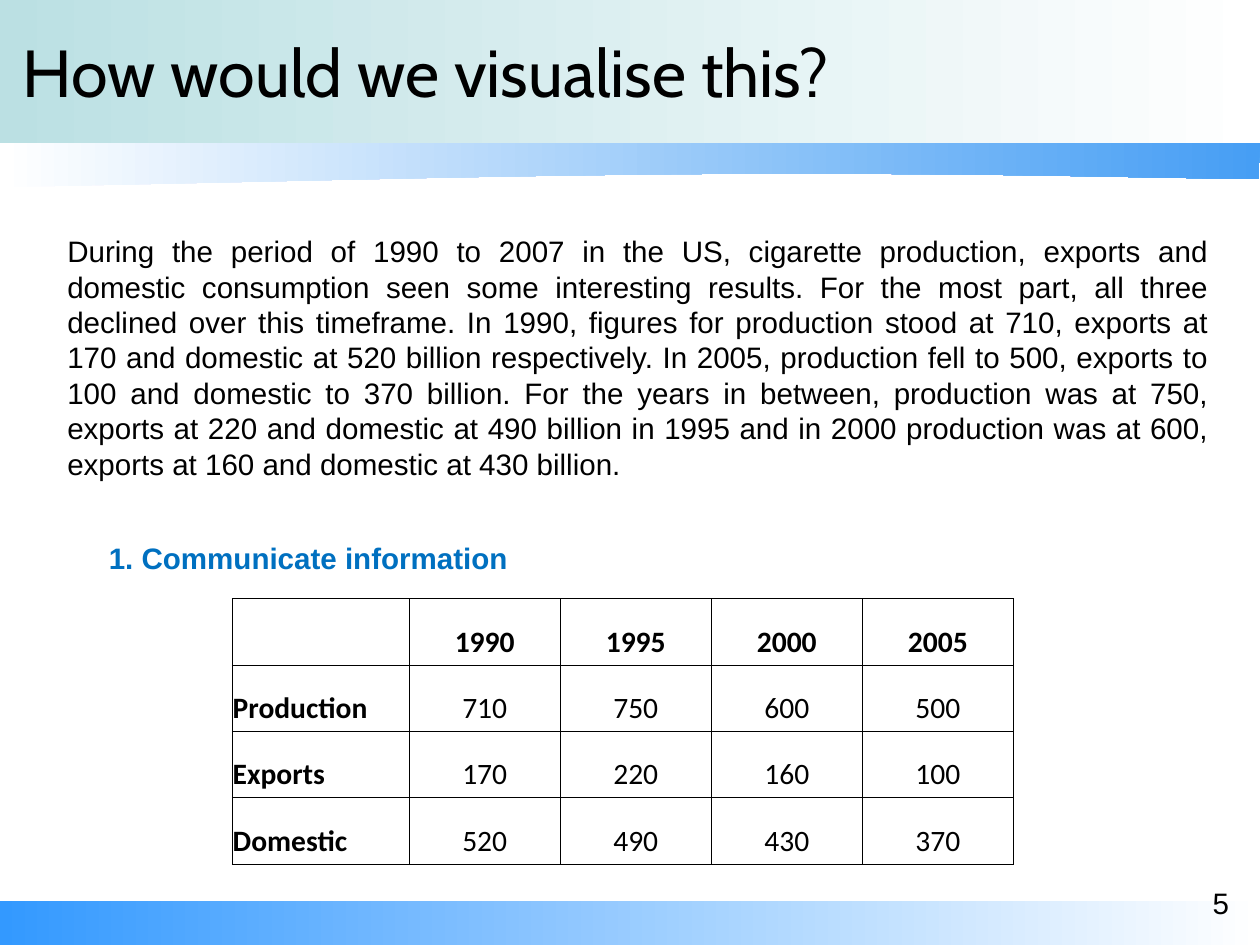
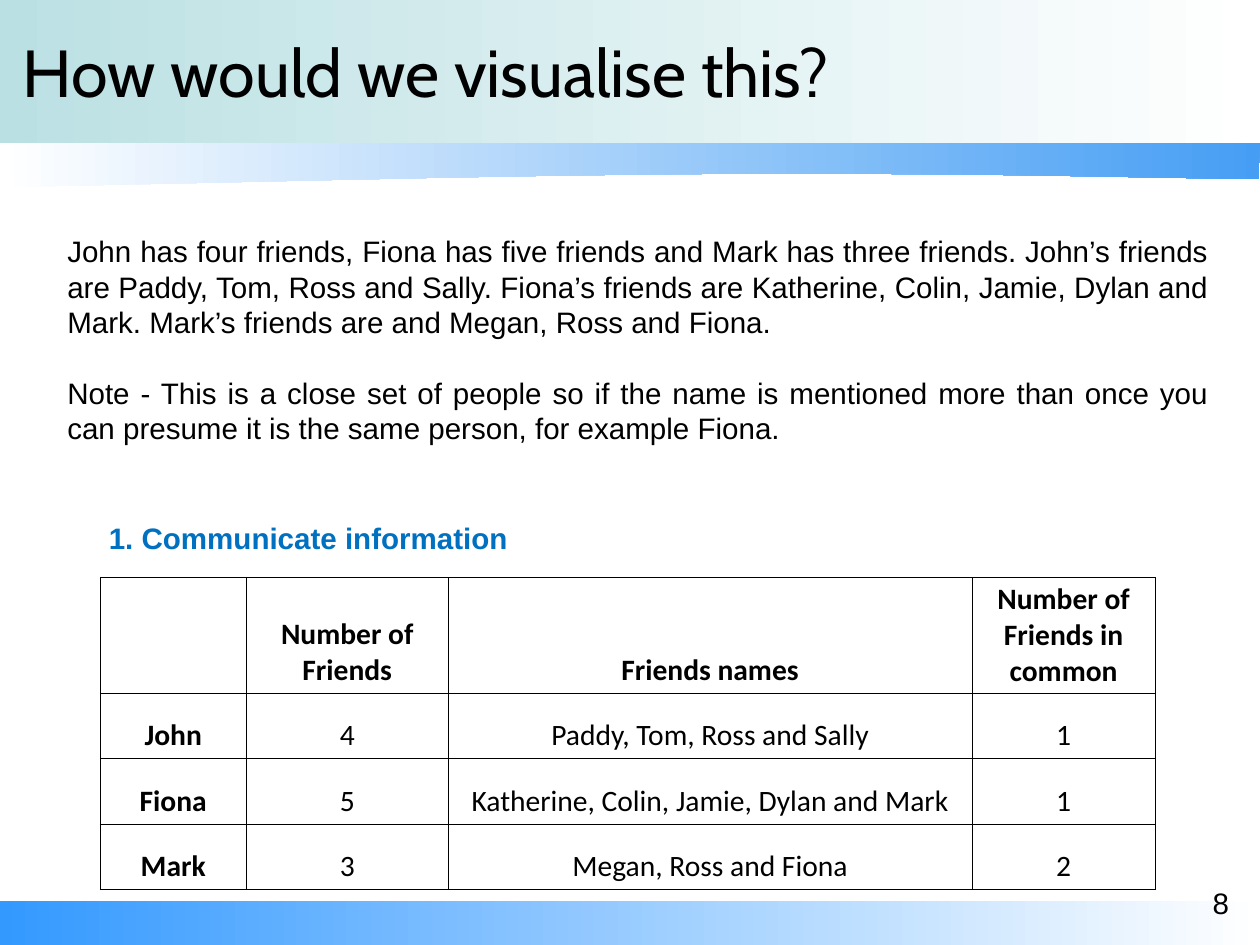
from pptx import Presentation
from pptx.dml.color import RGBColor
from pptx.enum.shapes import MSO_SHAPE
from pptx.enum.text import MSO_ANCHOR, PP_ALIGN
from pptx.oxml import parse_xml
from pptx.oxml.ns import nsdecls
from pptx.util import Cm, Pt

RECTANGLE = MSO_SHAPE.RECTANGLE
TOP, MIDDLE, BOTTOM = MSO_ANCHOR.TOP, MSO_ANCHOR.MIDDLE, MSO_ANCHOR.BOTTOM
LEFT, CENTER, JUSTIFY = PP_ALIGN.LEFT, PP_ALIGN.CENTER, PP_ALIGN.JUSTIFY

WIDTH, HEIGHT = 36.12, 27.08
HEADER_HEIGHT = 4.09
FOOTER_TOP = 25.82
BLACK, WHITE, ACCENT = "000000", "FFFFFF", "0070C0"
MINT, SKY, BLUE = "BBE0E3", "469EF4", "3399FF"
BORDER_WIDTH = Pt(0.23)
LINE_HEIGHT = Pt(28.8)

TITLE = "How would we visualise this?"
HEADING = "1. Communicate information"

# Each curve of the wave: start, two control points, end
WAVE_CURVES = (
    ((0, 5.36), (7.44, 5.23), (15.27, 4.98), (22.38, 4.98)),
    ((22.38, 4.98), (29.49, 4.98), (31.52, 5.08), (36.07, 5.13)),
)

SLIDES = [
    {
        "number": "5",
        "body": [
            "During the period of 1990 to 2007 in the US, cigarette production, "
            "exports and domestic consumption seen some interesting results. For "
            "the most part, all three declined over this timeframe. In 1990, "
            "figures for production stood at 710, exports at 170 and domestic at "
            "520 billion respectively. In 2005, production fell to 500, exports "
            "to 100 and domestic to 370 billion. For the years in between, "
            "production was at 750, exports at 220 and domestic at 490 billion in "
            "1995 and in 2000 production was at 600, exports at 160 and domestic "
            "at 430 billion.",
        ],
        "body_height": 7.37,
        "heading_top": 15.34,
        "table": {
            "left": 6.65,
            "top": 17.15,
            "columns": [5.08] + [4.33] * 4,
            "heights": [1.9] * 4,
            "label_align": LEFT,
            "rows": [
                ["", "1990", "1995", "2000", "2005"],
                ["Production", "710", "750", "600", "500"],
                ["Exports", "170", "220", "160", "100"],
                ["Domestic", "520", "490", "430", "370"],
            ],
        },
    },
    {
        "number": "8",
        "body": [
            "John has four friends, Fiona has five friends and Mark has three "
            "friends. John’s friends are Paddy, Tom, Ross and Sally. Fiona’s "
            "friends are Katherine, Colin, Jamie, Dylan and Mark. Mark’s friends "
            "are and Megan, Ross and Fiona.",
            "Note - This is a close set of people so if the name is mentioned "
            "more than once you can presume it is the same person, for example "
            "Fiona.",
        ],
        "body_height": 6.35,
        "heading_top": 14.76,
        "table": {
            "left": 2.87,
            "top": 16.54,
            "columns": [4.19, 5.79, 15.01, 5.26],
            "heights": [3.07] + [1.88] * 3,
            "label_align": CENTER,
            "rows": [
                ["", "Number of Friends", "Friends names",
                 "Number of Friends in common"],
                ["John", "4", "Paddy, Tom, Ross and Sally", "1"],
                ["Fiona", "5", "Katherine, Colin, Jamie, Dylan and Mark", "1"],
                ["Mark", "3", "Megan, Ross and Fiona", "2"],
            ],
        },
    },
]


def rgb(value):
    return RGBColor.from_string(value)


def apply(target, values):
    for name, value in values.items():
        setattr(target, name, value)


def curve_points(curve, steps=24):
    """Points along a cubic curve, without its start."""
    for step in range(1, steps + 1):
        t = step / steps
        weights = ((1 - t) ** 3, 3 * t * (1 - t) ** 2, 3 * t ** 2 * (1 - t), t ** 3)
        yield tuple(Cm(sum(w * point[axis] for w, point in zip(weights, curve)))
                    for axis in (0, 1))


class Deck:
    """Holds the style and the slide being built."""

    title_font = {"name": "Cabin", "size": Pt(54), "bold": False}
    body_font = {"name": "Arial", "size": Pt(24), "bold": False}
    heading_font = {**body_font, "bold": True}
    table_font = {"name": "Calibri", "size": Pt(24), "bold": False}

    def __init__(self):
        self.presentation = Presentation()
        apply(self.presentation,
              {"slide_width": Cm(WIDTH), "slide_height": Cm(HEIGHT)})
        self.slide = None

    def new_slide(self):
        blank = self.presentation.slide_layouts[6]
        self.slide = self.presentation.slides.add_slide(blank)

    def gradient(self, shape, start, end):
        shape.shadow.inherit = False
        shape.line.fill.background()
        shape.fill.gradient()
        shape.fill.gradient_angle = 0
        for position, (stop, color) in enumerate(
                zip(shape.fill.gradient_stops, (start, end))):
            stop.position = position
            stop.color.rgb = rgb(color)

    def band(self, top, height, color):
        shape = self.slide.shapes.add_shape(
            RECTANGLE, 0, Cm(top), Cm(WIDTH), Cm(height))
        self.gradient(shape, color, WHITE)

    def wave(self):
        outline = [point for curve in WAVE_CURVES for point in curve_points(curve)]
        outline += [(Cm(WIDTH), Cm(HEADER_HEIGHT)), (0, Cm(HEADER_HEIGHT))]
        start_x, start_y = WAVE_CURVES[0][0]
        builder = self.slide.shapes.build_freeform(Cm(start_x), Cm(start_y))
        builder.add_line_segments(outline, close=True)
        self.gradient(builder.convert_to_shape(), WHITE, SKY)

    def set_paragraph(self, paragraph, text, font, color=BLACK, **layout):
        paragraph.text = text
        apply(paragraph, layout)
        apply(paragraph.font, font)
        paragraph.font.color.rgb = rgb(color)

    def text(self, box, paragraphs, font, color=BLACK, anchor=TOP,
             insets=(0.25, 0.13), **layout):
        frame = self.slide.shapes.add_textbox(*map(Cm, box)).text_frame
        side, edge = map(Cm, insets)
        apply(frame, {"word_wrap": True, "vertical_anchor": anchor,
                      "margin_left": side, "margin_right": side,
                      "margin_top": edge, "margin_bottom": edge})
        for index, content in enumerate(paragraphs):
            paragraph = frame.add_paragraph() if index else frame.paragraphs[0]
            self.set_paragraph(paragraph, content, font, color, **layout)
            if index:
                paragraph.space_before = LINE_HEIGHT

    def border(self, cell):
        properties = cell._tc.get_or_add_tcPr()
        for side in ("lnL", "lnR", "lnT", "lnB"):
            properties.append(parse_xml(
                f'<a:{side} {nsdecls("a")} w="{int(BORDER_WIDTH)}"><a:solidFill>'
                f'<a:srgbClr val="{BLACK}"/></a:solidFill></a:{side}>'))

    def table(self, left, top, columns, heights, label_align, rows):
        table = self.slide.shapes.add_table(
            len(rows), len(columns), Cm(left), Cm(top),
            Cm(sum(columns)), Cm(sum(heights))).table
        apply(table, {"first_row": False, "horz_banding": False})
        for column, width in zip(table.columns, columns):
            column.width = Cm(width)
        for row, height in zip(table.rows, heights):
            row.height = Cm(height)
        for r, values in enumerate(rows):
            for c, value in enumerate(values):
                cell = table.cell(r, c)
                self.border(cell)
                cell.fill.background()
                apply(cell, {"vertical_anchor": BOTTOM,
                             "margin_left": Cm(0.02), "margin_right": Cm(0.02),
                             "margin_top": Cm(0.13), "margin_bottom": Cm(0.13)})
                font = {**self.table_font, "bold": r == 0 or c == 0}
                self.set_paragraph(cell.text_frame.paragraphs[0], value, font,
                                   alignment=CENTER if c else label_align)

    def frame(self, number):
        # Bands, title and page number shared by all slides
        self.band(FOOTER_TOP, HEIGHT - FOOTER_TOP, BLUE)
        self.band(0, HEADER_HEIGHT, MINT)
        self.wave()
        self.text((0.66, 0, 32, HEADER_HEIGHT), [TITLE], self.title_font,
                  anchor=MIDDLE, insets=(0, 0))
        self.text((33.93, 25.22, 2.13, 1.42), [number], self.body_font,
                  alignment=CENTER, line_spacing=LINE_HEIGHT)


def main():
    deck = Deck()
    for content in SLIDES:
        deck.new_slide()
        deck.frame(content["number"])
        # Table of figures
        deck.table(**content["table"])
        # Description and heading
        deck.text((1.68, 6.55, 33.2, content["body_height"]), content["body"],
                  deck.body_font, alignment=JUSTIFY, line_spacing=LINE_HEIGHT)
        deck.text((2.87, content["heading_top"], 19.41, 1.27), [HEADING],
                  deck.heading_font, ACCENT, alignment=JUSTIFY,
                  line_spacing=LINE_HEIGHT)
    deck.presentation.save("out.pptx")


if __name__ == "__main__":
    main()
